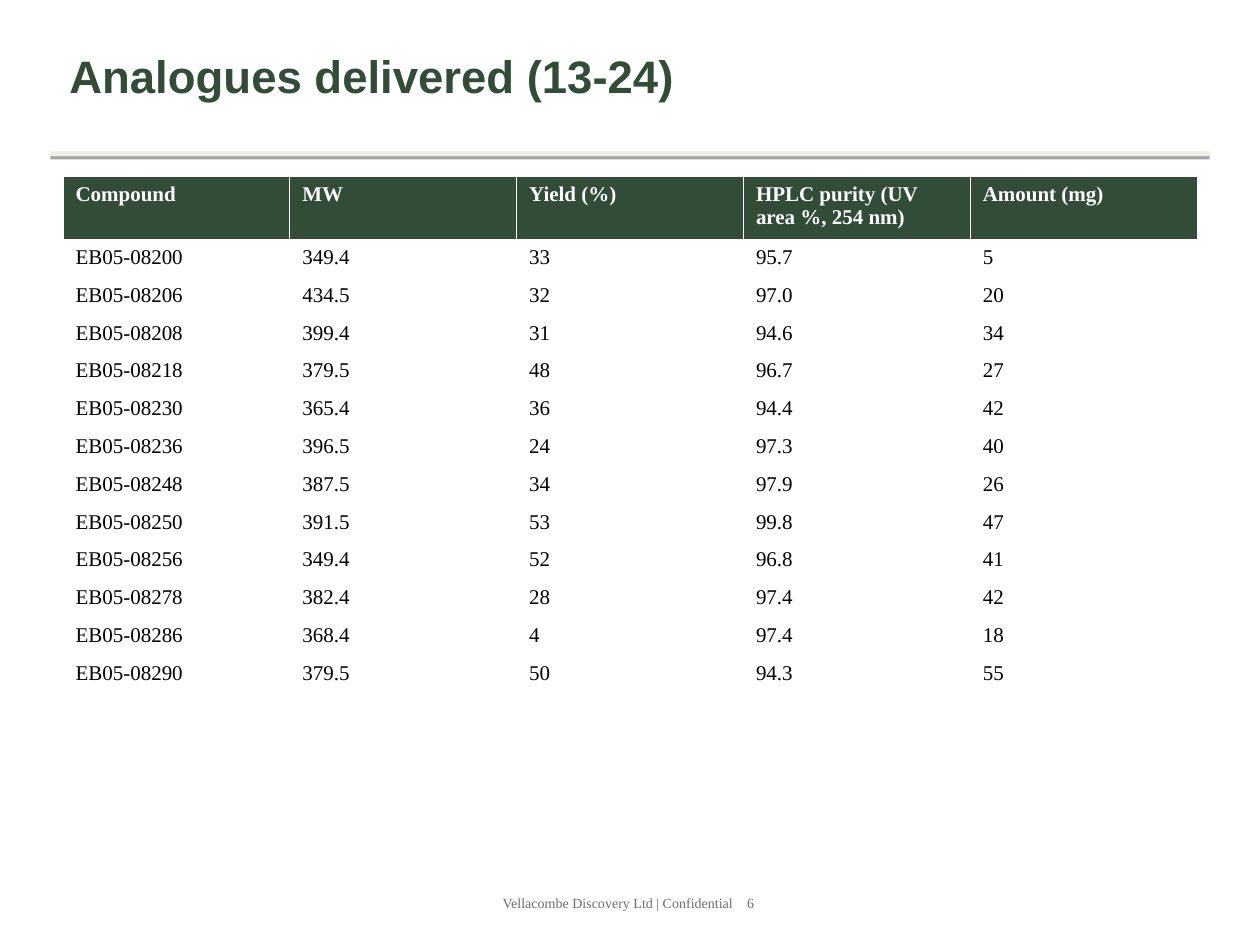
from lxml.etree import SubElement
from pptx import Presentation
from pptx.dml.color import RGBColor
from pptx.enum.shapes import MSO_SHAPE
from pptx.enum.text import MSO_ANCHOR, PP_ALIGN
from pptx.oxml.ns import qn
from pptx.util import Inches, Pt

GREEN = RGBColor(0x32, 0x4C, 0x38)
CREAM = RGBColor(0xF2, 0xF0, 0xE9)
GREY = RGBColor(0x6E, 0x6E, 0x6E)
WHITE = RGBColor(0xFF, 0xFF, 0xFF)
BLACK = RGBColor(0, 0, 0)
SERIF = "Times New Roman"

HEAD = ["Compound", "MW", "Yield (%)", "HPLC purity (UV area %, 254 nm)",
        "Amount (mg)"]
ROWS = [
    ["EB05-08200", "349.4", "33", "95.7", "5"],
    ["EB05-08206", "434.5", "32", "97.0", "20"],
    ["EB05-08208", "399.4", "31", "94.6", "34"],
    ["EB05-08218", "379.5", "48", "96.7", "27"],
    ["EB05-08230", "365.4", "36", "94.4", "42"],
    ["EB05-08236", "396.5", "24", "97.3", "40"],
    ["EB05-08248", "387.5", "34", "97.9", "26"],
    ["EB05-08250", "391.5", "53", "99.8", "47"],
    ["EB05-08256", "349.4", "52", "96.8", "41"],
    ["EB05-08278", "382.4", "28", "97.4", "42"],
    ["EB05-08286", "368.4", "4", "97.4", "18"],
    ["EB05-08290", "379.5", "50", "94.3", "55"],
]


def style(para, face, size, color, bold=False):
    for run in para.runs:
        font = run.font
        font.name, font.size, font.bold = face, Pt(size), bold
        font.color.rgb = color


def add_title(slide, text):
    title = slide.shapes.title
    title.left, title.top = Inches(0.45), Inches(0.15)
    title.width, title.height = Inches(9.1), Inches(0.9)
    frame = title.text_frame
    frame.text = text
    frame.vertical_anchor = MSO_ANCHOR.MIDDLE
    para = frame.paragraphs[0]
    para.alignment = PP_ALIGN.LEFT
    style(para, "Arial", 26, GREEN, True)


def add_rule(slide):
    rule = slide.shapes.add_shape(MSO_SHAPE.RECTANGLE, Inches(0.4),
                                  Inches(1.2), Inches(9.2), Inches(0.04))
    rule.fill.solid()
    rule.fill.fore_color.rgb = CREAM
    rule.line.fill.background()
    # Soft shadow straight below the bar
    rule.shadow.inherit = False
    effects = rule.element.spPr.find(qn("a:effectLst"))
    shadow = SubElement(effects, qn("a:outerShdw"), blurRad="0",
                        dist=str(Pt(1.8)), dir="5400000", rotWithShape="0")
    color = SubElement(shadow, qn("a:srgbClr"), val=str(BLACK))
    SubElement(color, qn("a:alpha"), val="35000")


def add_borders(cell):
    props = cell._tc.get_or_add_tcPr()
    for side in ("lnL", "lnR", "lnT", "lnB"):
        line = SubElement(props, qn(f"a:{side}"), w=str(Pt(0.45)))
        fill = SubElement(line, qn("a:solidFill"))
        SubElement(fill, qn("a:srgbClr"), val=str(WHITE))


def fill_cell(cell, text, back, color, bold):
    add_borders(cell)
    cell.fill.solid()
    cell.fill.fore_color.rgb = back
    cell.text_frame.text = text
    style(cell.text_frame.paragraphs[0], SERIF, 12, color, bold)


def add_grid(slide):
    data = [HEAD] + ROWS
    frame = slide.shapes.add_table(len(data), len(HEAD), Inches(0.5),
                                   Inches(1.4), Inches(9), Inches(4.1))
    table = frame.table
    table.horz_banding = False
    for r, values in enumerate(data):
        top = r == 0
        table.rows[r].height = Inches(0.5 if top else 0.3)
        back, color = (GREEN, WHITE) if top else (WHITE, BLACK)
        for c, text in enumerate(values):
            fill_cell(table.cell(r, c), text, back, color, top)


def add_footer(slide, text, page):
    box = slide.shapes.add_textbox(Inches(3.89), Inches(7.05),
                                   Inches(2.21), Inches(0.23))
    frame = box.text_frame
    frame.word_wrap = True
    frame.margin_right = 0
    frame.text = f"{text}\t{page}"
    para = frame.paragraphs[0]
    # Tab stop that holds the page number
    tabs = SubElement(para._p.get_or_add_pPr(), qn("a:tabLst"))
    SubElement(tabs, qn("a:tab"), pos=str(Inches(1.94)), algn="l")
    style(para, SERIF, 8, GREY)


def main():
    deck = Presentation()
    deck.slide_width, deck.slide_height = Inches(10), Inches(7.5)
    slide = deck.slides.add_slide(deck.slide_layouts[5])
    add_title(slide, "Analogues delivered (13-24)")
    add_rule(slide)
    add_grid(slide)
    add_footer(slide, "Vellacombe Discovery Ltd | Confidential", 6)
    deck.save("out.pptx")


if __name__ == "__main__":
    main()
